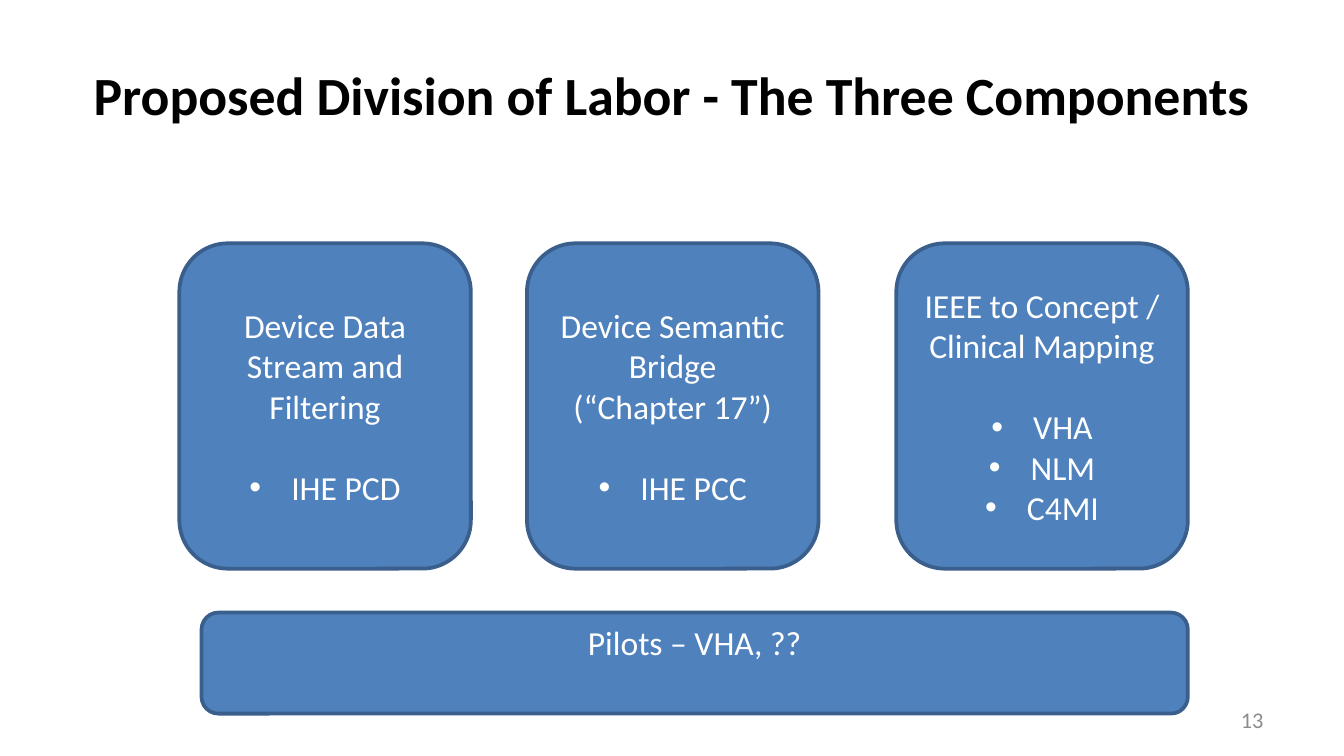
"""Build the slide on the proposed division of labor."""
from lxml import etree
from pptx import Presentation
from pptx import util as u
from pptx.dml.color import RGBColor
from pptx.enum import shapes, text
from pptx.oxml import ns

BLACK = RGBColor(0x00, 0x00, 0x00)
WHITE = RGBColor(0xFF, 0xFF, 0xFF)
GREY = RGBColor(0x8C, 0x8C, 0x8C)
BLUE = RGBColor(0x4F, 0x81, 0xBD)
DARK_BLUE = RGBColor(0x3A, 0x5F, 0x8C)

CARD_TOP, CARD_WIDTH, CARD_HEIGHT = 4.6, 5.51, 6.15
CARDS = [
    (3.39, ["Device Data Stream and Filtering"], ["IHE PCD"]),
    (9.96, ["Device Semantic Bridge", "(“Chapter 17”)"], ["IHE PCC"]),
    (16.94, ["IEEE to Concept / Clinical Mapping"], ["VHA", "NLM", "C4MI"]),
]


class SlideBuilder:
    """Hold the style and the current slide."""

    font_name = "Calibri"
    body_size = 18
    gap = u.Pt(22)
    indent = u.Cm(0.79)

    def __init__(self, slide):
        """Keep the slide to draw on."""
        self.slide = slide

    def style(self, para, size, color, align, bold=False):
        """Set the font and alignment of a paragraph."""
        para.alignment = align
        para.font.name = self.font_name
        para.font.size = u.Pt(size)
        para.font.color.rgb = color
        para.font.bold = bold

    def bullet(self, para):
        """Give a paragraph a hanging bullet."""
        props = para._p.get_or_add_pPr()
        props.set("marL", str(self.indent))
        props.set("indent", str(-self.indent))
        etree.SubElement(props, ns.qn("a:buFont"), typeface="Arial")
        etree.SubElement(props, ns.qn("a:buChar"), char="•")

    def label(self, words, left, top, width, height, size, color, align, bold=False):
        """Add a text box with a single line."""
        box = self.slide.shapes.add_textbox(
            u.Cm(left), u.Cm(top), u.Cm(width), u.Cm(height))
        frame = box.text_frame
        frame.word_wrap = True
        frame.vertical_anchor = text.MSO_ANCHOR.MIDDLE
        frame.text = words
        self.style(frame.paragraphs[0], size, color, align, bold)

    def card(self, left, top, width, height, headings, bullets=()):
        """Add a rounded box with headings and bullets, and return its text frame."""
        box = self.slide.shapes.add_shape(
            shapes.MSO_SHAPE.ROUNDED_RECTANGLE,
            u.Cm(left), u.Cm(top), u.Cm(width), u.Cm(height))
        box.shadow.inherit = False
        box.fill.solid()
        box.fill.fore_color.rgb = BLUE
        box.line.color.rgb = DARK_BLUE
        box.line.width = u.Pt(2)
        frame = box.text_frame
        frame.word_wrap = True
        frame.vertical_anchor = text.MSO_ANCHOR.MIDDLE
        frame.text = "\n".join([*headings, *bullets])
        for index, para in enumerate(frame.paragraphs):
            if index >= len(headings):
                self.bullet(para)
            if index == len(headings):
                para.space_before = self.gap
            self.style(para, self.body_size, WHITE, text.PP_ALIGN.CENTER)
        return frame


def main():
    """Build and save the deck."""
    deck = Presentation()
    deck.slide_width, deck.slide_height = u.Cm(25.4), u.Cm(14.29)
    page = SlideBuilder(deck.slides.add_slide(deck.slide_layouts[6]))

    page.label("Proposed Division of Labor - The Three Components",
               1.27, 0.58, 22.86, 2.39, 28.8, BLACK, text.PP_ALIGN.CENTER, bold=True)
    page.label("13", 18.21, 13.23, 5.92, 0.76, 12, GREY, text.PP_ALIGN.RIGHT)

    for left, headings, bullets in CARDS:
        page.card(left, CARD_TOP, CARD_WIDTH, CARD_HEIGHT, headings, bullets)

    pilots = page.card(3.81, 11.58, 18.64, 1.91, ["Pilots – VHA, ??"])
    pilots.vertical_anchor = text.MSO_ANCHOR.TOP
    pilots.margin_top = u.Cm(0.08)

    deck.save("out.pptx")


if __name__ == "__main__":
    main()
